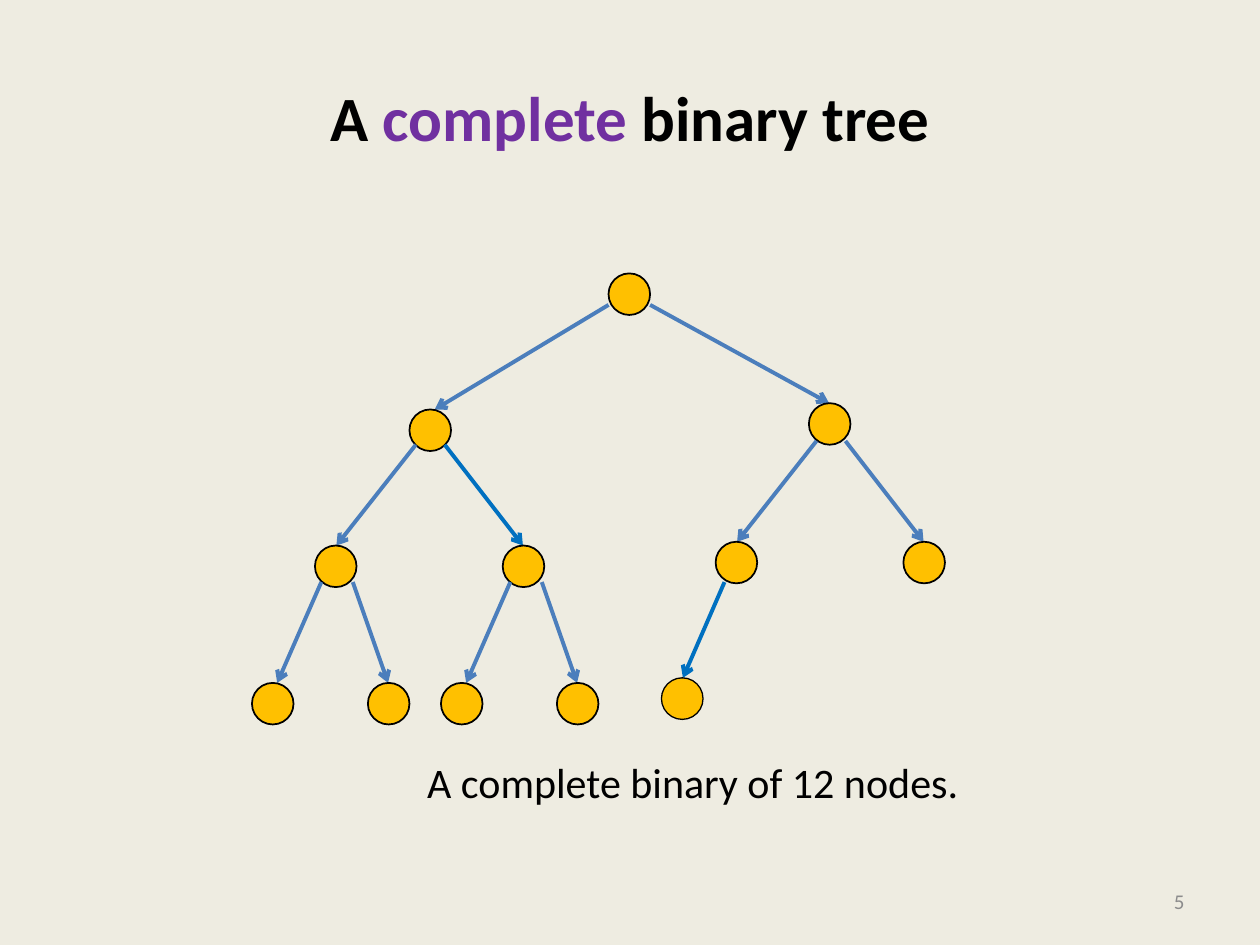
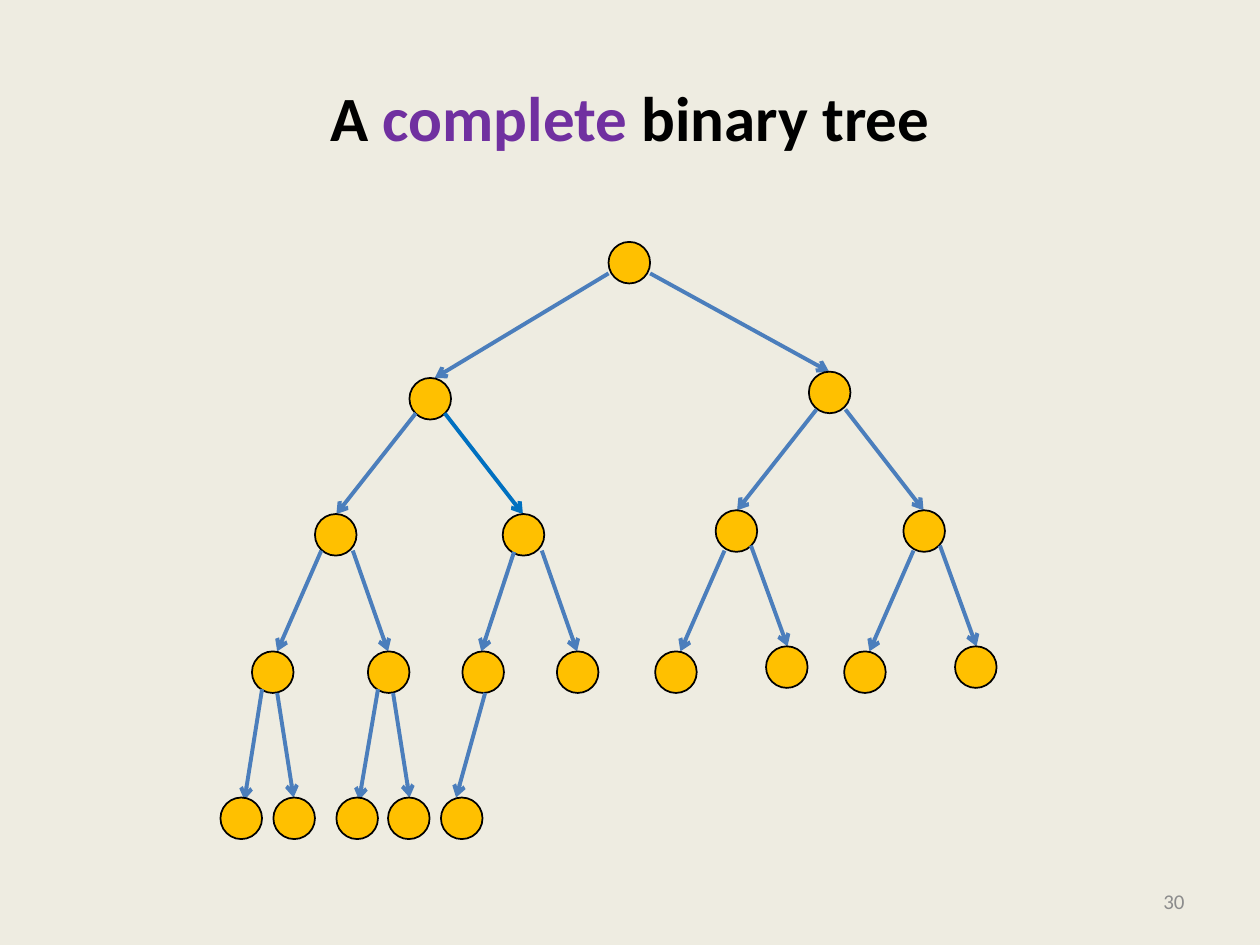
from typing import NamedTuple

from lxml.etree import SubElement
from pptx import Presentation
from pptx.dml.color import RGBColor
from pptx.enum.shapes import MSO_CONNECTOR, MSO_SHAPE
from pptx.enum.text import MSO_ANCHOR, PP_ALIGN
from pptx.oxml.ns import qn
from pptx.slide import Slide
from pptx.util import Emu, Pt

# Shared style
PX = 9144  # EMU per px, 100 px to the inch
FONT = "Calibri"
BACKGROUND = RGBColor(0xEE, 0xEC, 0xE1)
BLACK = RGBColor(0x00, 0x00, 0x00)
PURPLE = RGBColor(0x70, 0x30, 0xA0)
GREY = RGBColor(0x8C, 0x8C, 0x8C)
GOLD = RGBColor(0xFF, 0xC0, 0x00)
STEEL = RGBColor(0x4B, 0x7E, 0xBC)
BLUE = RGBColor(0x00, 0x70, 0xC0)
NODE_SIZE = 33
ROOT_LEFT = 483


class Branch(NamedTuple):
    """An arrow and the node it leads to; y runs down from the root's top."""
    x1: int
    y1: int
    x2: int
    y2: int
    node_left: int
    color: RGBColor = STEEL
    outline: float = 1
    overlap: int = 0  # how far the tip reaches into the node


class Label(NamedTuple):
    left: int
    top: int
    width: int
    height: int
    size: int
    align: PP_ALIGN
    runs: tuple[tuple[str, RGBColor], ...]
    bold: bool = False
    inset: int = 10


class TreeSlide(NamedTuple):
    number: int
    root_top: int
    branches: tuple[Branch, ...]
    labels: tuple[Label, ...] = ()


# Contents
TITLE = Label(50, 30, 900, 125, 36, PP_ALIGN.CENTER,
              (("A ", BLACK), ("complete ", PURPLE), ("binary tree", BLACK)),
              bold=True)
CAPTION = Label(339, 600, 561, 41, 24, PP_ALIGN.LEFT,
                (("A complete binary of 12 nodes.", BLACK),), inset=0)

COMMON_BRANCHES = (
    Branch(483, 25, 345, 108, 325),
    Branch(516, 25, 658, 103, 642),
    Branch(330, 136, 267, 216, 250),
    Branch(353, 136, 415, 216, 399, BLUE),
    Branch(648, 133, 585, 213, 568),
    Branch(671, 133, 733, 213, 717),
    Branch(255, 245, 220, 325, 200),
    Branch(280, 245, 308, 325, 292),
    Branch(430, 245, 458, 325, 442),
)
SMALL_TREE = COMMON_BRANCHES + (
    Branch(575, 245, 542, 321, 525, BLUE, 0.75),
    Branch(405, 245, 370, 325, 350),
)
LARGE_TREE = COMMON_BRANCHES + (
    Branch(408, 246, 382, 325, 367),
    Branch(575, 245, 540, 325, 520),
    Branch(725, 245, 690, 325, 670),
    Branch(596, 241, 625, 321, 608),
    Branch(746, 241, 775, 321, 758),
    Branch(220, 358, 233, 441, 217),
    Branch(208, 355, 194, 443, 175, overlap=2),
    Branch(312, 358, 325, 441, 308),
    Branch(300, 355, 285, 443, 267, overlap=2),
    Branch(385, 358, 362, 441, 350),
)
SLIDES = (
    TreeSlide(5, 217, SMALL_TREE, (CAPTION,)),
    TreeSlide(30, 192, LARGE_TREE),
)


def px(value: int) -> Emu:
    return Emu(value * PX)


def add_label(s: Slide, label: Label) -> None:
    sp = s.shapes.add_textbox(px(label.left), px(label.top),
                              px(label.width), px(label.height))
    tf = sp.text_frame
    tf.word_wrap = True
    tf.vertical_anchor = MSO_ANCHOR.MIDDLE
    tf.margin_left = tf.margin_right = px(label.inset)
    tf.margin_top = tf.margin_bottom = 0
    p = tf.paragraphs[0]
    p.alignment = label.align
    for text, color in label.runs:
        r = p.add_run()
        r.text = text
        r.font.name = FONT
        r.font.size = Pt(label.size)
        r.font.bold = label.bold
        r.font.color.rgb = color


def add_node(s: Slide, left: int, top: int, outline: float = 1) -> None:
    sp = s.shapes.add_shape(MSO_SHAPE.OVAL, px(left), px(top),
                            px(NODE_SIZE), px(NODE_SIZE))
    sp.shadow.inherit = False
    sp.fill.solid()
    sp.fill.fore_color.rgb = GOLD
    sp.line.color.rgb = BLACK
    sp.line.width = Pt(outline)


def add_branch(s: Slide, branch: Branch, root_top: int) -> None:
    tip = root_top + branch.y2
    cxn = s.shapes.add_connector(MSO_CONNECTOR.STRAIGHT,
                                 px(branch.x1), px(root_top + branch.y1),
                                 px(branch.x2), px(tip))
    cxn.line.color.rgb = branch.color
    cxn.line.width = Pt(2.25)
    # Arrowhead, and no theme shadow
    sp_pr = cxn._element.spPr
    SubElement(sp_pr.find(qn("a:ln")), qn("a:tailEnd"), type="arrow")
    SubElement(sp_pr, qn("a:effectLst"))
    add_node(s, branch.node_left, tip - branch.overlap, branch.outline)


def add_tree_slide(prs: Presentation, content: TreeSlide) -> None:
    s = prs.slides.add_slide(prs.slide_layouts[6])
    s.background.fill.solid()
    s.background.fill.fore_color.rgb = BACKGROUND
    number = Label(717, 695, 233, 40, 12, PP_ALIGN.RIGHT,
                   ((str(content.number), GREY),))
    for label in (TITLE, *content.labels, number):
        add_label(s, label)
    add_node(s, ROOT_LEFT, content.root_top)
    for branch in content.branches:
        add_branch(s, branch, content.root_top)


def main() -> None:
    prs = Presentation()
    prs.slide_width, prs.slide_height = px(1000), px(750)
    for content in SLIDES:
        add_tree_slide(prs, content)
    prs.save("out.pptx")


if __name__ == "__main__":
    main()
